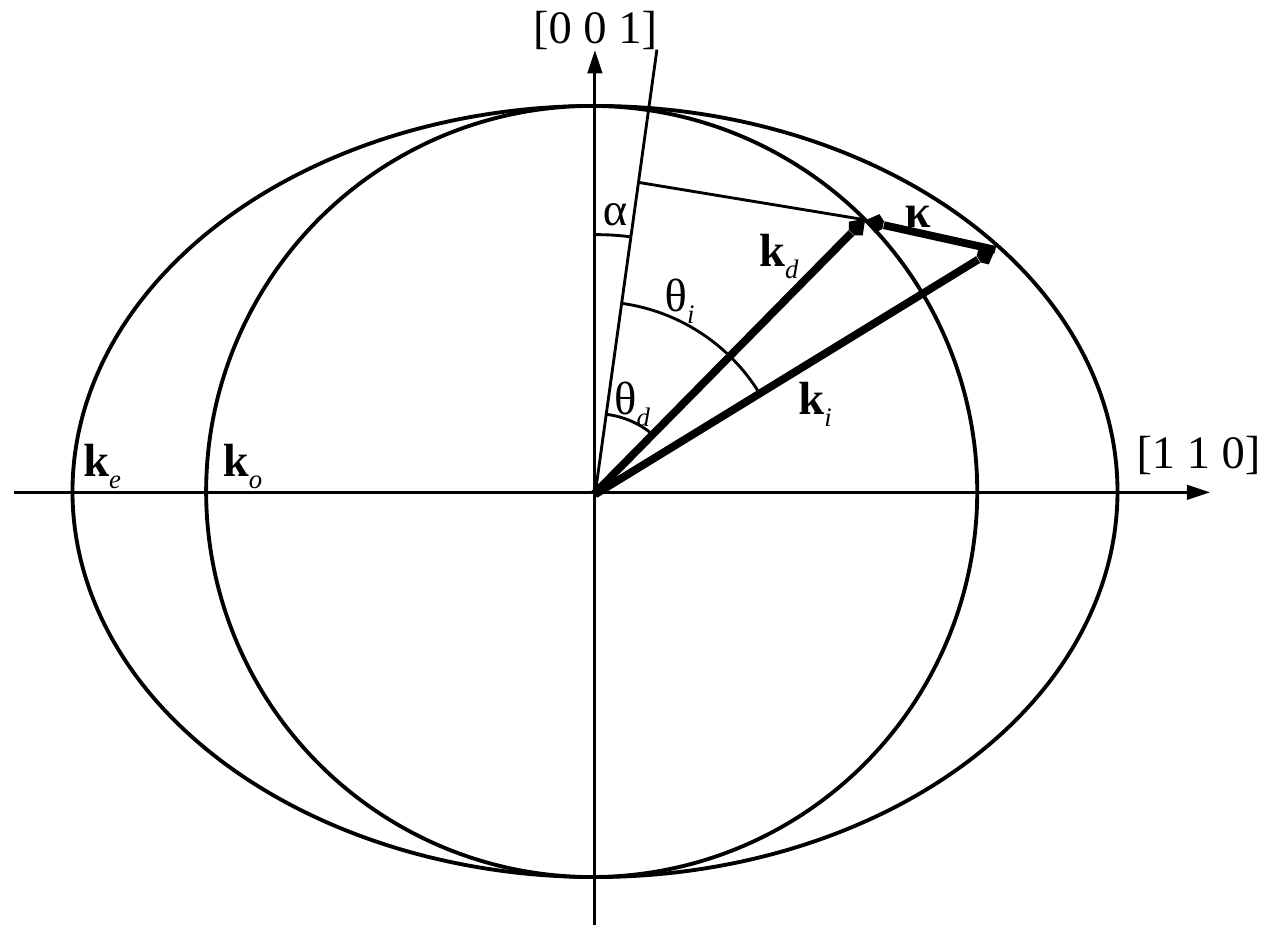
"""Draw the wave-vector diagram of an anisotropic crystal."""
from lxml import etree
from pptx import Presentation
from pptx import util as u
from pptx.dml.color import RGBColor
from pptx.enum import shapes, text
from pptx.oxml.ns import qn

SIZE = (331.92, 241.2)
BLACK, WHITE = "000000", "FFFFFF"
FONT, FONT_SIZE = "Times New Roman", 12
LABEL_HEIGHT = 21.6
THIN, OUTLINE, THICK = 0.75, 1, 2

AXIS_HEAD = ("triangle", "sm", "med")
VECTOR_HEAD = ("arrow", "sm", "sm")

# centre, radii
ELLIPSES = [
    ((153.36, 126.7), (134.64, 99.36)),
    ((152.5, 126.7), (99.36, 99.36)),
]
# centre, radii, start and end in degrees
ARCS = [
    ((153.4, 127.4), (49.7, 49.7), 277.76, 328.8),
    ((153.4, 126.4), (21.6, 19.8), 278.76, 315.49),
    ((153.7, 107.3), (56.5, 46.8), 269.33, 280.56),
]
# start, end, width, head
LINES = [
    ((153.3, 238.3), (153.3, 13), THIN, AXIS_HEAD),
    ((3.6, 126.9), (311.8, 126.9), THIN, AXIS_HEAD),
    ((153.4, 127.4), (256.5, 64.2), THICK, VECTOR_HEAD),
    ((153, 127.4), (223, 56.4), THICK, VECTOR_HEAD),
    ((256.5, 64.4), (222.7, 56.9), THICK, VECTOR_HEAD),
    ((153.4, 127.2), (169.3, 12.8), THIN, None),
    ((164.5, 47), (222.6, 56.6), THIN, None),
]
# symbol, subscript, left, top, width, bold, wrap
LABELS = [
    ("κ", "", 226.1, 43.2, 20.9, True, False),
    ("k", "d", 188.6, 53.3, 28.8, True, True),
    ("k", "i", 198.7, 91.4, 28.8, True, True),
    ("k", "o", 50.4, 107.3, 28.8, True, True),
    ("k", "e", 14.4, 107.3, 28.8, True, True),
    ("θ", "d", 151.2, 91.4, 25.2, False, False),
    ("θ", "i", 164.2, 64.8, 23, False, False),
    ("α", "", 148.3, 42.5, 21.6, False, False),
    ("[0 0 1]", "", 130.3, -4.3, 46.8, False, False),
    ("[1 1 0]", "", 285.8, 105.1, 46.8, False, False),
]


def color(value):
    return RGBColor.from_string(value)


def set_line(shape, width):
    shape.line.color.rgb = color(BLACK)
    shape.line.width = u.Pt(width)


def add_round(slide, kind, centre, radii, width):
    box = [c - r for c, r in zip(centre, radii)] + [2 * r for r in radii]
    shape = slide.shapes.add_shape(kind, *map(u.Pt, box))
    shape.shadow.inherit = False
    set_line(shape, width)
    return shape


def add_line(slide, start, end, width, head):
    line = slide.shapes.add_connector(
        shapes.MSO_CONNECTOR.STRAIGHT, *map(u.Pt, start + end))
    set_line(line, width)
    if head:
        kind, breadth, length = head
        etree.SubElement(line.line._get_or_add_ln(), qn("a:tailEnd"),
                         type=kind, w=breadth, len=length)
    etree.SubElement(line._element.spPr, qn("a:effectLst"))


def add_run(paragraph, content, bold=False, italic=False, baseline=None):
    run = paragraph.add_run()
    run.text = content
    run.font.name, run.font.size = FONT, u.Pt(FONT_SIZE)
    run.font.bold, run.font.italic = bold, italic
    run.font.color.rgb = color(BLACK)
    if baseline:
        run.font._element.set("baseline", str(baseline))


def add_label(slide, symbol, subscript, left, top, width, bold, wrap):
    box = slide.shapes.add_textbox(
        *map(u.Pt, (left, top, width, LABEL_HEIGHT)))
    frame = box.text_frame
    frame.word_wrap = wrap
    frame.auto_size = text.MSO_AUTO_SIZE.SHAPE_TO_FIT_TEXT
    paragraph = frame.paragraphs[0]
    add_run(paragraph, symbol, bold=bold)
    if subscript:
        add_run(paragraph, subscript, italic=True, baseline=-25000)


def main():
    presentation = Presentation()
    presentation.slide_width, presentation.slide_height = map(u.Pt, SIZE)
    slide = presentation.slides.add_slide(presentation.slide_layouts[6])
    for centre, radii in ELLIPSES:
        ellipse = add_round(slide, shapes.MSO_SHAPE.OVAL, centre, radii, OUTLINE)
        ellipse.fill.solid()
        ellipse.fill.fore_color.rgb = color(WHITE)
    for centre, radii, *angles in ARCS:
        arc = add_round(slide, shapes.MSO_SHAPE.ARC, centre, radii, THIN)
        arc.fill.background()
        for index, angle in enumerate(angles):
            arc.adjustments[index] = angle * 0.6
    for line in LINES:
        add_line(slide, *line)
    for label in LABELS:
        add_label(slide, *label)
    presentation.save("out.pptx")


if __name__ == "__main__":
    main()
